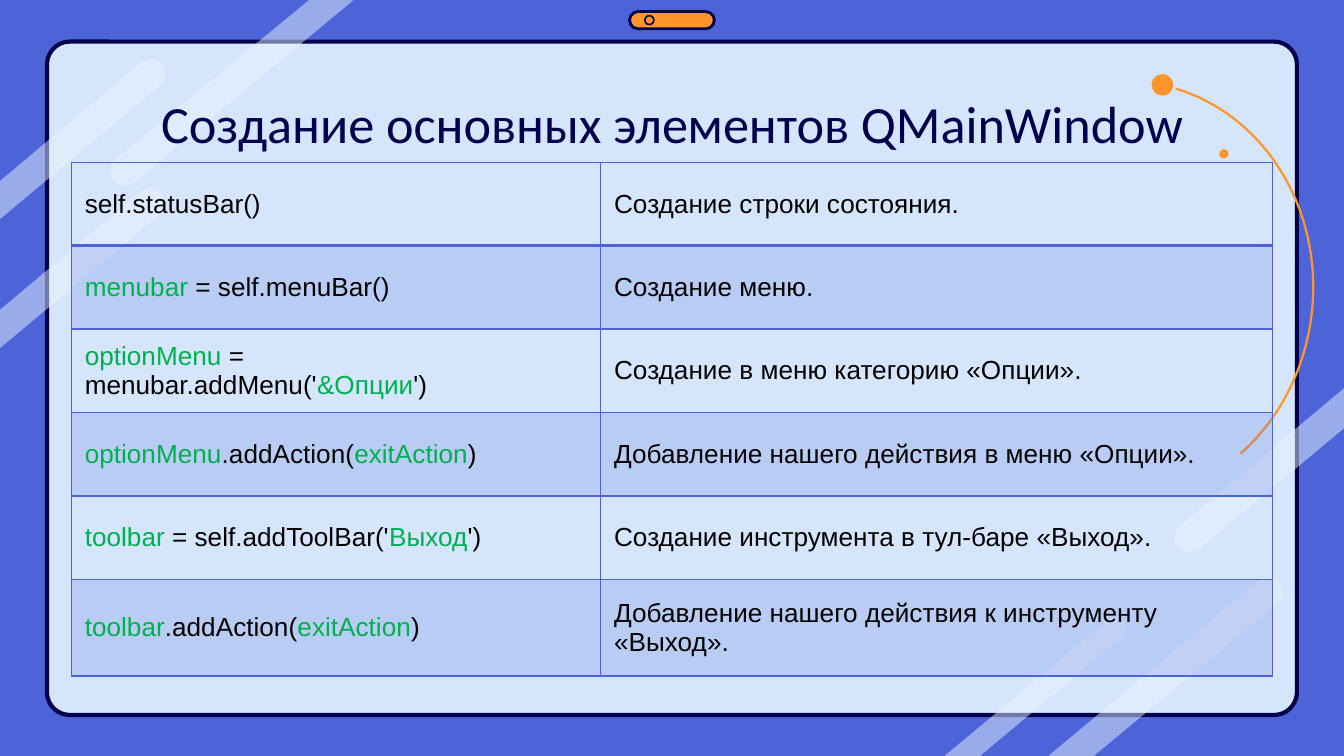
from math import cos, radians, sin

from pptx import Presentation
from pptx.dml.color import RGBColor
from pptx.enum import shapes, text
from pptx.oxml import parse_xml
from pptx.oxml.ns import nsdecls, qn
from pptx.util import Pt

# Content: code in *stars* is green
TITLE = "Создание основных элементов QMainWindow"
ROWS = [
    ("self.statusBar()", "Создание строки состояния."),
    ("*menubar* = self.menuBar()", "Создание меню."),
    ("*optionMenu* = menubar.addMenu('*&Опции*')",
     "Создание в меню категорию «Опции»."),
    ("*optionMenu*.addAction(*exitAction*)",
     "Добавление нашего действия в меню «Опции»."),
    ("*toolbar* = self.addToolBar('*Выход*')",
     "Создание инструмента в тул-баре «Выход»."),
    ("*toolbar*.addAction(*exitAction*)",
     "Добавление нашего действия к инструменту «Выход»."),
]
COLS = [283.6, 360]
TALL = [44.7] * 5 + [51.8]
HEX = {"blue": "4C64D8", "pale": "D5E6FC", "navy": "00004D", "glow": "E9F3FF",
       "orange": "FF952B", "green": "00B050", "black": "000000"}

# Stripes: cap centre, cap radius, cap heading, far end of each edge
UP, DOWN = 40, 220
BANDS = [
    ((679, 317.5), 8, UP, (561.6, 405), (586, 405)),
    ((597, 337), 6, UP, (506, 405), (525, 405)),
    ((67, 91.5), 8, DOWN, (189.4, 0), (165.6, 0)),
    ((80.6, 39.6), 8, UP, (0, 97), (0, 117.4)),
    ((80.6, 108.7), 8, UP, (0, 166), (0, 186.5)),
    ((637.2, 288), 8, DOWN, (720, 229.5), (720, 208)),
]
# Orbit: two Bezier curves that share a joint
ORBIT = [
    ((630, 47.5), (675.7, 61.2), (707.8, 109.1), (703.1, 164.5)),
    ((703.1, 164.5), (700.2, 196.6), (685.8, 224.3), (664.6, 243)),
]

deck = Presentation()
deck.slide_width, deck.slide_height = Pt(720), Pt(405)
slide = deck.slides.add_slide(deck.slide_layouts[6])
KIND = shapes.MSO_SHAPE


def rgb(name):
    return RGBColor.from_string(HEX[name])


def fade(fill, part):
    tint = fill._xPr.find(qn("a:solidFill"))[0]
    tint.append(parse_xml(
        f'<a:alpha {nsdecls("a")} val="{part * 1000}"/>'))


def paint(shape, fill=None, line=None, width=1):
    shape.shadow.inherit = False
    if fill:
        shape.fill.solid()
        shape.fill.fore_color.rgb = rgb(fill)
    else:
        shape.fill.background()
    if line:
        shape.line.color.rgb = rgb(line)
        shape.line.width = Pt(width)
    else:
        shape.line.fill.background()
    return shape


def preset(kind, box, *look):
    return paint(slide.shapes.add_shape(kind, *map(Pt, box)), *look)


def trace(dots, close, *look):
    dots = [(Pt(x), Pt(y)) for x, y in dots]
    pen = slide.shapes.build_freeform(*dots[0])
    pen.add_line_segments(dots[1:], close=close)
    return paint(pen.convert_to_shape(), *look)


def bend(a, b, c, d, steps=24):
    for i in range(steps + 1):
        t = i / steps
        s = 1 - t
        yield tuple(s**3 * p + 3 * s * s * t * q + 3 * s * t * t * r + t**3 * v
                    for p, q, r, v in zip(a, b, c, d))


def write(para, words, font, size, color):
    run = para.add_run()
    run.text = words
    run.font.name, run.font.size = font, Pt(size)
    run.font.color.rgb = rgb(color)


def edge(cell, side, width):
    cell._tc.get_or_add_tcPr().append(parse_xml(
        f'<a:{side} {nsdecls("a")} w="{Pt(width)}"><a:solidFill>'
        f'<a:srgbClr val="{HEX["blue"]}"/></a:solidFill></a:{side}>'))


# Background and panel
slide.background.fill.solid()
slide.background.fill.fore_color.rgb = rgb("blue")
panel = preset(KIND.ROUNDED_RECTANGLE, (25.2, 22.3, 669.6, 360.7),
               "pale", "navy", 2.25)
panel.adjustments[0] = 0.034

# Stripes with round caps
for (x, y), r, head, near, far in BANDS:
    turns = [radians(head + 90 - 15 * i) for i in range(13)]
    cap = [(x + r * cos(a), y - r * sin(a)) for a in turns]
    fade(trace([near, *cap, far], True, "glow").fill, 50)

# Badge at the top
badge = preset(KIND.ROUNDED_RECTANGLE, (337.3, 6.2, 45.4, 9.2),
               "orange", "navy", 1.5)
badge.adjustments[0] = 0.5
preset(KIND.OVAL, (345.5, 8.4, 4.8, 4.8), None, "navy", 0.9)

# Orbit and its dots
trace([dot for arc in ORBIT for dot in bend(*arc)], False,
      None, "orange", 1.2)
preset(KIND.OVAL, (653.2, 79.9, 5, 5), "orange")
preset(KIND.OVAL, (617, 39.7, 11.5, 11.5), "orange")

# Title
box = slide.shapes.add_textbox(Pt(56.9), Pt(41.8), Pt(606.2), Pt(45.4))
frame = box.text_frame
frame.word_wrap = True
frame.margin_left = frame.margin_right = Pt(7.2)
frame.margin_top = frame.margin_bottom = Pt(7.2)
frame.paragraphs[0].alignment = text.PP_ALIGN.CENTER
write(frame.paragraphs[0], TITLE, "Calibri", 28, "navy")

# Table
grid = slide.shapes.add_table(len(ROWS), len(COLS), Pt(38.2), Pt(87),
                              Pt(sum(COLS)), Pt(sum(TALL))).table
grid.first_row = grid.horz_banding = False
for col, wide in zip(grid.columns, COLS):
    col.width = Pt(wide)
for i, (row, tall) in enumerate(zip(ROWS, TALL)):
    grid.rows[i].height = Pt(tall)
    for j, words in enumerate(row):
        cell = grid.cell(i, j)
        cell.vertical_anchor = text.MSO_ANCHOR.MIDDLE
        for side in ("lnL", "lnR", "lnT", "lnB"):
            thick = (i, side) in ((0, "lnB"), (1, "lnT"))
            edge(cell, side, 2 if thick else 1)
        if i % 2:
            cell.fill.solid()
            cell.fill.fore_color.rgb = rgb("blue")
            fade(cell.fill, 20)
        else:
            cell.fill.background()
        for k, bit in enumerate(words.split("*")):
            if bit:
                write(cell.text_frame.paragraphs[0], bit, "Arial", 14,
                      "green" if k % 2 else "black")

deck.save("out.pptx")
